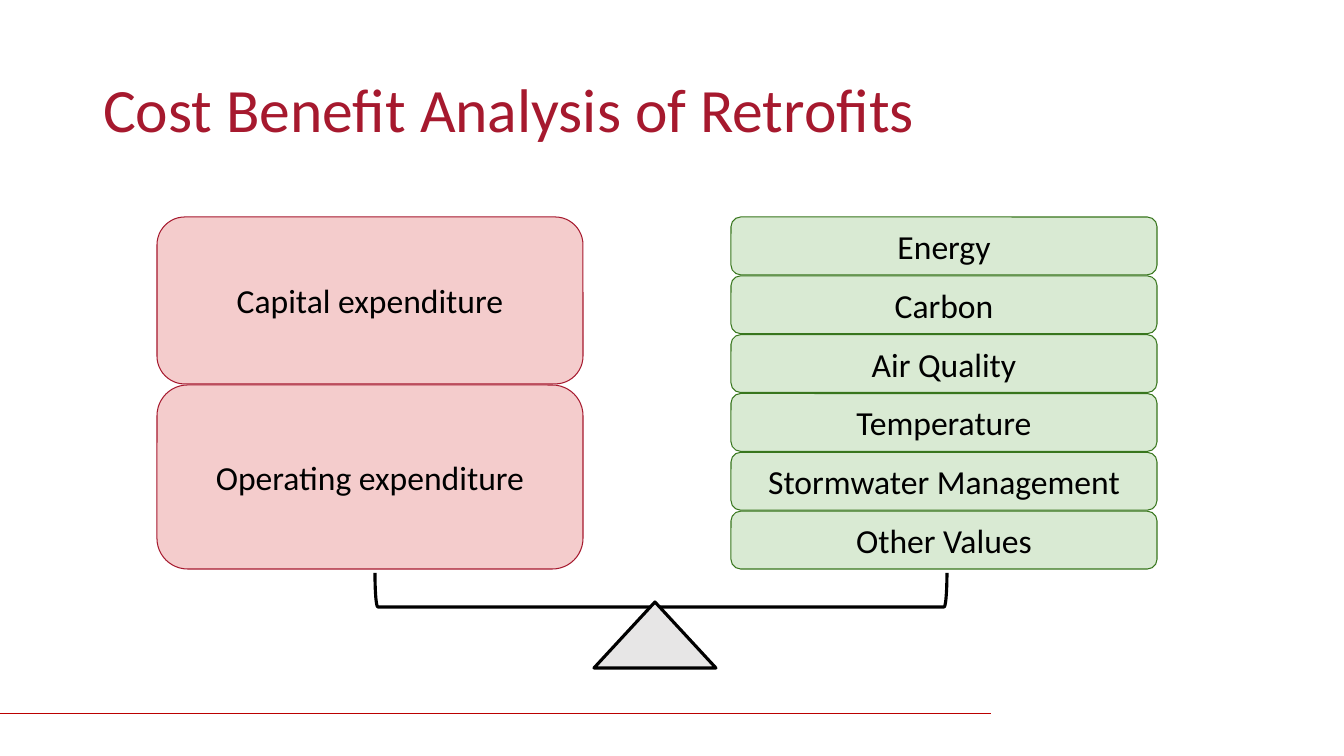
from lxml.etree import SubElement
from pptx import Presentation
from pptx.dml.color import RGBColor
from pptx.enum.shapes import MSO_CONNECTOR, MSO_SHAPE as Preset
from pptx.enum.text import MSO_ANCHOR as Anchor, PP_ALIGN as Align
from pptx.oxml.ns import qn
from pptx.util import Emu, Pt

CRIMSON = RGBColor(0xA6, 0x19, 0x2E)
RULE_RED = RGBColor(0xBB, 0x00, 0x00)
PINK = RGBColor(0xF4, 0xCC, 0xCC)
GREEN = RGBColor(0x38, 0x76, 0x1D)
PALE_GREEN = RGBColor(0xD9, 0xEA, 0xD3)
GREY = RGBColor(0xE7, 0xE6, 0xE6)
BLACK = RGBColor(0, 0, 0)
FONT = "Calibri"

# Content: each side of the scale is a stack of (label, share of height)
TITLE = "Cost Benefit Analysis of Retrofits"
COSTS = [("Capital expenditure", 167), ("Operating expenditure", 184)]
BENEFITS = [(label, 1) for label in (
    "Energy", "Carbon", "Air Quality", "Temperature",
    "Stormwater Management", "Other Values")]
SIDES = [(157, COSTS, PINK, CRIMSON), (731, BENEFITS, PALE_GREEN, GREEN)]

# Layout in px
SLIDE_W, SLIDE_H = 1344, 756
TITLE_BOX = (93, 40, 1159, 146)
STACK_TOP, STACK_W, STACK_H, GAP = 217, 426, 352, 1
BEAM = (375, 573, 572, 34)
FULCRUM = (594, 602, 122, 66)
RULE_Y, RULE_END = 714, 991


def px(length):
    return Emu(round(length * 914400 / 100.8))


def add_preset(preset, box, line, width, fill=None):
    shape = slide.shapes.add_shape(preset, *map(px, box))
    shape.shadow.inherit = False
    if fill is None:
        shape.fill.background()
    else:
        shape.fill.solid()
        shape.fill.fore_color.rgb = fill
    shape.line.color.rgb = line
    shape.line.width = Pt(width)
    return shape


def write(frame, text, size, color, align):
    frame.word_wrap = True
    frame.vertical_anchor = Anchor.MIDDLE
    paragraph = frame.paragraphs[0]
    paragraph.text = text
    paragraph.alignment = align
    font = paragraph.font
    font.name, font.size, font.color.rgb = FONT, Pt(size), color
    return paragraph


deck = Presentation()
deck.slide_width, deck.slide_height = px(SLIDE_W), px(SLIDE_H)
slide = deck.slides.add_slide(deck.slide_layouts[5])

# Footer rule
rule = slide.shapes.add_connector(
    MSO_CONNECTOR.STRAIGHT, px(RULE_END), px(RULE_Y), px(0), px(RULE_Y))
rule.line.color.rgb = RULE_RED
rule.line.width = Pt(0.75)
SubElement(rule._element.spPr, qn("a:effectLst"))

# Title
title = slide.shapes.title
title.left, title.top, title.width, title.height = map(px, TITLE_BOX)
write(title.text_frame, TITLE, 44, CRIMSON, Align.LEFT).line_spacing = 0.9

# Stacks of costs and benefits
for left, stack, fill, line in SIDES:
    unit = (STACK_H - GAP * (len(stack) - 1)) / sum(share for _, share in stack)
    top = STACK_TOP
    for label, share in stack:
        height = share * unit
        block = add_preset(Preset.ROUNDED_RECTANGLE,
                           (left, top, STACK_W, height), line, 0.75, fill)
        frame = block.text_frame
        frame.margin_top = frame.margin_bottom = px(10)
        write(frame, label, 24, BLACK, Align.CENTER).space_after = Pt(10)
        top += height + GAP

# Beam: an upright bracket turned on its side about its centre
left, top, width, height = BEAM
beam = add_preset(Preset.LEFT_BRACKET,
                  (left + (width - height) / 2, top + (height - width) / 2,
                   height, width), BLACK, 2.25)
beam.rotation = 270

# Fulcrum
add_preset(Preset.ISOSCELES_TRIANGLE, FULCRUM, BLACK, 2.25, GREY)

deck.save("out.pptx")
